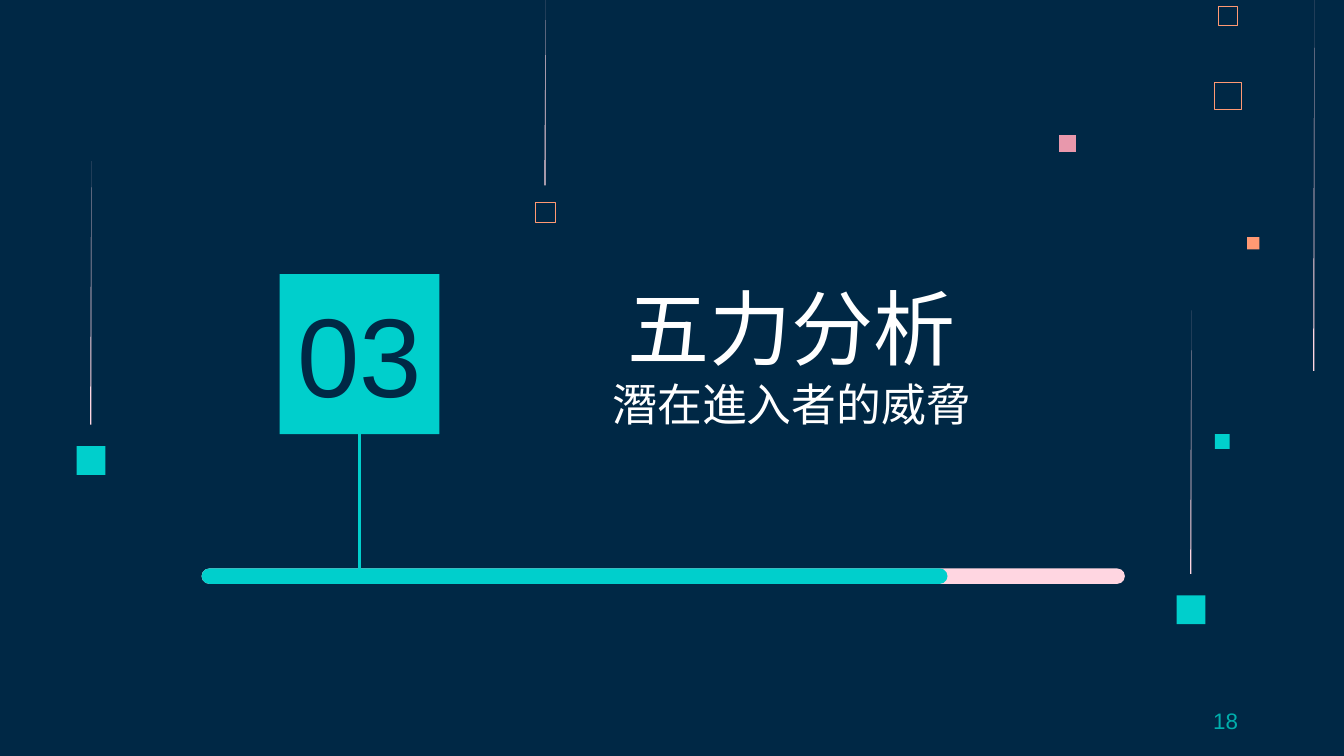
from lxml.etree import SubElement
from pptx import Presentation
from pptx.dml.color import RGBColor
from pptx.enum.shapes import MSO_CONNECTOR, MSO_SHAPE
from pptx.enum.text import MSO_ANCHOR, MSO_AUTO_SIZE, PP_ALIGN
from pptx.oxml.ns import qn
from pptx.util import Inches, Pt

NAVY = RGBColor(0x00, 0x28, 0x45)
TEAL = RGBColor(0x00, 0xCF, 0xCC)
DARK_TEAL = RGBColor(0x00, 0xAE, 0xAC)
PINK = RGBColor(0xFF, 0xD6, 0xE1)
ROSE = RGBColor(0xE8, 0x98, 0xAC)
ORANGE = RGBColor(0xFF, 0x99, 0x73)
WHITE = RGBColor(0xFF, 0xFF, 0xFF)

CHINESE_FONT = "Noto Sans CJK SC"
NUMBER_FONT = "Arial"

SLIDE_WIDTH = Inches(10)
SLIDE_HEIGHT = SLIDE_WIDTH * 9 // 16
COLUMNS = 100  # grid cells across the slide; the cells are square


def grid(*cells):
    return [round(cell * SLIDE_WIDTH / COLUMNS) for cell in cells]


def style_shape(shape, fill=None, line=None, line_width=0.4):
    shape.shadow.inherit = False
    if fill is None:
        shape.fill.background()
    else:
        shape.fill.solid()
        shape.fill.fore_color.rgb = fill
    if line is None:
        shape.line.fill.background()
    else:
        shape.line.color.rgb = line
        shape.line.width = Pt(line_width)


def add_square(slide, left, top, side, **style):
    square = slide.shapes.add_shape(MSO_SHAPE.RECTANGLE, *grid(left, top, side, side))
    style_shape(square, **style)
    return square


def add_trail(slide, left, top, height):
    """Draw a sliver that widens from a point at its top."""
    left, top, right, bottom = grid(left, top, left + 0.1, top + height)
    builder = slide.shapes.build_freeform(right, top)
    builder.add_line_segments([(left, bottom), (right, bottom)], close=True)
    style_shape(builder.convert_to_shape(), fill=PINK)


def add_falling_square(slide, left, top):
    add_square(slide, left, top, 2.15, fill=TEAL)
    add_trail(slide, left + 1, top - 21.2, 19.6)


def add_bar(slide, left, top, width, fill):
    bar = slide.shapes.add_shape(MSO_SHAPE.ROUNDED_RECTANGLE, *grid(left, top, width, 1.15))
    bar.adjustments[0] = 0.5
    style_shape(bar, fill=fill)


def add_stem(slide, tile, bottom):
    """Draw a line from the bottom of the tile down to a grid row."""
    center = tile.left + tile.width // 2
    stem = slide.shapes.add_connector(
        MSO_CONNECTOR.STRAIGHT, center, tile.top + tile.height, center, *grid(bottom))
    stem.begin_connect(tile, 2)
    stem.line.color.rgb = TEAL
    stem.line.width = Pt(1.5)
    SubElement(stem.element.spPr, qn("a:effectLst"))


def place(shape, left, top, width, height):
    shape.left, shape.top, shape.width, shape.height = grid(left, top, width, height)


def write_text(shape, *lines, font, color, align=PP_ALIGN.CENTER,
               anchor=MSO_ANCHOR.MIDDLE, inset=0.1):
    """Write (text, size) lines as one paragraph with line breaks."""
    frame = shape.text_frame
    frame.word_wrap = True
    frame.auto_size = MSO_AUTO_SIZE.NONE
    frame.vertical_anchor = anchor
    frame.margin_left = frame.margin_right = Inches(inset)
    frame.margin_top = frame.margin_bottom = Inches(inset)
    paragraph = frame.paragraphs[0]
    paragraph.alignment = align
    paragraph.space_before = Pt(0)
    for index, (text, size) in enumerate(lines):
        if index:
            paragraph.add_line_break()
        run = paragraph.add_run()
        run.text = text
        run.font.size = Pt(size)
        run.font.color.rgb = color
        run.font.name = font
        SubElement(run.font._element, qn("a:ea"), typeface=font)


def add_decorations(slide):
    for left, top, side, color in (
            (78.8, 10.05, 1.25, ROSE), (90.4, 32.3, 1.1, TEAL), (92.8, 17.65, 0.9, ORANGE)):
        add_square(slide, left, top, side, fill=color)
    for left, top, side in ((90.35, 6.1, 2.05), (90.65, 0.45, 1.45), (39.85, 15.1, 1.45)):
        add_square(slide, left, top, side, line=ORANGE)
    add_trail(slide, 40.5, 0, 13.8)
    add_trail(slide, 97.7, 0, 27.6)
    for left, top in ((87.55, 44.3), (5.7, 33.2)):
        add_falling_square(slide, left, top)


def main():
    presentation = Presentation()
    presentation.slide_width, presentation.slide_height = SLIDE_WIDTH, SLIDE_HEIGHT
    slide = presentation.slides.add_slide(presentation.slide_layouts[0])
    slide.background.fill.solid()
    slide.background.fill.fore_color.rgb = NAVY
    add_decorations(slide)

    title, section_number = slide.placeholders
    place(title, 34.7, 19.5, 48.4, 13.5)
    write_text(title, ("五力分析", 44), ("潛在進入者的威脅", 24),
               font=CHINESE_FONT, color=WHITE, anchor=MSO_ANCHOR.BOTTOM)

    tile = add_square(slide, 20.8, 20.4, 11.9, fill=TEAL)
    place(section_number, 19.8, 23.1, 13.9, 6.3)
    write_text(section_number, ("03", 60), font=NUMBER_FONT, color=NAVY)
    # Bring the number in front of its tile
    section_number.element.getparent().append(section_number.element)

    add_bar(slide, 15, 42.3, 68.7, PINK)
    add_bar(slide, 15, 42.3, 55.5, TEAL)
    add_stem(slide, tile, 43)

    page_number = slide.shapes.add_textbox(*grid(70.6, 52.15, 22.5, 3))
    write_text(page_number, ("18", 12), font=NUMBER_FONT, color=DARK_TEAL,
               align=PP_ALIGN.RIGHT)
    presentation.save("out.pptx")


if __name__ == "__main__":
    main()
